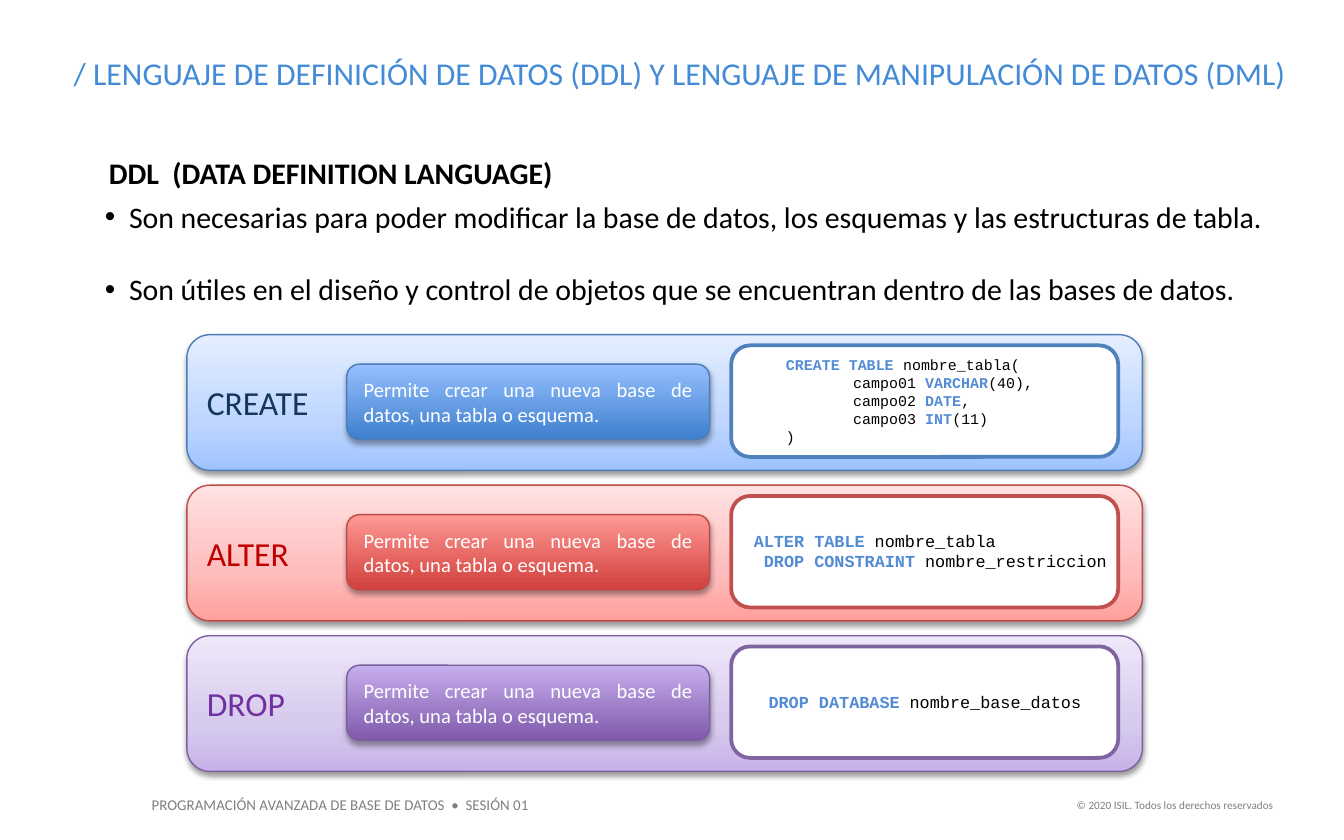
from dataclasses import dataclass

from pptx import Presentation
from pptx.dml.color import RGBColor
from pptx.enum.shapes import MSO_SHAPE as Shape
from pptx.enum.text import MSO_ANCHOR as Anchor, PP_ALIGN as Align
from pptx.oxml import parse_xml
from pptx.oxml.ns import nsdecls
from pptx.util import Inches, Pt

BODY_FONT = "Calibri"
CODE_FONT = "Courier New"
BLACK, WHITE, GRAY = "000000", "FFFFFF", "7F7F7F"
KEYWORD_COLOR = "538CD5"
ROW_TOP, ROW_PITCH = 2.49, 1.12
DESCRIPTION = "Permite crear una nueva base de datos, una tabla o esquema."

Box = tuple[float, float, float, float]
Stops = tuple[tuple[int, str], ...]


@dataclass
class Label:
    text: str
    box: Box
    size: float
    color: str
    bold: bool = False
    align: Align = Align.LEFT
    margins: tuple[float, float] = (0.1, 0.05)


@dataclass
class CodeLine:
    text: str
    indent: float = 0


@dataclass
class Command:
    name: str
    name_color: str
    line_color: str
    frame_color: str
    band_stops: Stops
    card_stops: Stops
    code_box: Box
    code_size: float
    code: tuple[CodeLine, ...]


LABELS = (
    Label("PROGRAMACIÓN AVANZADA DE BASE DE DATOS  •  SESIÓN 01", (1.03, 5.87, 3.03, 0.24), 8, GRAY),
    Label("© 2020 ISIL. Todos los derechos reservados", (7.88, 5.89, 1.69, 0.2), 6, GRAY, align=Align.RIGHT),
    Label("DDL  (DATA DEFINITION LANGUAGE)", (0.81, 1.15, 4.04, 0.27), 16, BLACK, bold=True, margins=(0, 0)),
    Label("/ LENGUAJE DE DEFINICIÓN DE DATOS (DDL) Y LENGUAJE DE MANIPULACIÓN DE DATOS (DML)",
          (0.45, 0.35, 9.25, 0.39), 17, "438AD7"),
)

BULLETS = (
    "Son necesarias para poder modificar la base de datos, los esquemas y las estructuras de tabla.",
    "Son útiles en el diseño y control de objetos que se encuentran dentro de las bases de datos.",
)

COMMANDS = (
    Command("CREATE", "17365D", "4A7DBA", "4F81BD",
            ((0, "9FC3FF"), (35, "BDD5FF"), (100, "E4EEFF")), ((0, "3E7FCD"), (100, "96C0FF")),
            (5.75, 2.6, 2.26, 0.77), 8,
            (CodeLine("`CREATE TABLE `nombre_tabla("),
             CodeLine("campo01 `VARCHAR`(40),", 0.5),
             CodeLine("campo02 `DATE`,", 0.5),
             CodeLine("campo03 `INT`(11)", 0.5),
             CodeLine(")"))),
    Command("ALTER", "C00000", "BD4B48", "C0504D",
            ((0, "FFA09D"), (35, "FFBCBC"), (100, "FFE2E2")), ((0, "D13F3B"), (100, "FF9995")),
            (5.51, 3.9, 2.88, 0.4), 9,
            (CodeLine("`ALTER TABLE `nombre_tabla"),
             CodeLine(" `DROP CONSTRAINT `nombre_restriccion"))),
    Command("DROP", "7030A0", "7C5F9F", "8064A2",
            ((0, "C8B2E9"), (35, "D6CAED"), (100, "EFE8FA")), ((0, "7F5AAB"), (100, "C7AEED")),
            (5.62, 5.1, 2.88, 0.25), 9,
            (CodeLine("`DROP DATABASE `nombre_base_datos"),)),
)


def rgb(color: str) -> RGBColor:
    return RGBColor.from_string(color)


def set_font(font, name: str, size: float, color: str, bold: bool = False) -> None:
    font.name, font.size, font.bold = name, Pt(size), bold
    font.color.rgb = rgb(color)


def set_frame(frame, margins: tuple[float, float] = (0.1, 0.05)) -> None:
    frame.word_wrap = True
    frame.margin_left = frame.margin_right = Inches(margins[0])
    frame.margin_top = frame.margin_bottom = Inches(margins[1])


def add_text_frame(slide, box: Box, margins: tuple[float, float] = (0.1, 0.05)):
    frame = slide.shapes.add_textbox(*map(Inches, box)).text_frame
    set_frame(frame, margins)
    return frame


def add_label(slide, label: Label) -> None:
    paragraph = add_text_frame(slide, label.box, label.margins).paragraphs[0]
    paragraph.text = label.text
    paragraph.alignment = label.align
    set_font(paragraph.font, BODY_FONT, label.size, label.color, label.bold)


def add_bullets(slide) -> None:
    frame = add_text_frame(slide, (0.76, 1.48, 8.71, 0.81), (0, 0))
    for index, text in enumerate(BULLETS):
        paragraph = frame.paragraphs[0] if index == 0 else frame.add_paragraph()
        paragraph.text = text
        properties = paragraph._p.get_or_add_pPr()
        properties.set("marL", str(Inches(0.2)))
        properties.set("indent", str(Inches(-0.18)))
        properties.append(parse_xml(f'<a:buFont {nsdecls("a")} typeface="Arial"/>'))
        properties.append(parse_xml(f'<a:buChar {nsdecls("a")} char="•"/>'))
        if index:
            paragraph.space_before = Pt(19.5)
        set_font(paragraph.font, BODY_FONT, 16, BLACK)


def add_rounded(slide, box: Box, line_color: str, line_width: float):
    shape = slide.shapes.add_shape(Shape.ROUNDED_RECTANGLE, *map(Inches, box))
    shape.shadow.inherit = False
    shape.adjustments[0] = 0.17
    shape.line.color.rgb = rgb(line_color)
    shape.line.width = Pt(line_width)
    return shape


def set_gradient(shape, stops: Stops) -> None:
    shape.fill.gradient()
    gradient = shape._element.spPr.find("{*}gradFill")
    stop_xml = "".join(f'<a:gs pos="{position * 1000}"><a:srgbClr val="{color}"/></a:gs>'
                       for position, color in stops)
    gradient.getparent().replace(gradient, parse_xml(
        f'<a:gradFill {nsdecls("a")} rotWithShape="1"><a:gsLst>{stop_xml}</a:gsLst>'
        '<a:lin ang="16200000" scaled="0"/></a:gradFill>'))


def set_shadow(shape, opacity: int, distance: float) -> None:
    effects = shape._element.spPr.find("{*}effectLst")
    effects.append(parse_xml(
        f'<a:outerShdw {nsdecls("a")} blurRad="{Pt(3.1)}" dist="{Pt(distance)}" dir="5400000" '
        f'rotWithShape="0"><a:srgbClr val="{BLACK}"><a:alpha val="{opacity * 1000}"/>'
        '</a:srgbClr></a:outerShdw>'))


def set_caption(shape, text: str, size: float, color: str, align: Align) -> None:
    set_frame(shape.text_frame)
    shape.text_frame.vertical_anchor = Anchor.MIDDLE
    paragraph = shape.text_frame.paragraphs[0]
    paragraph.text = text
    paragraph.alignment = align
    set_font(paragraph.font, BODY_FONT, size, color)


def add_code(slide, command: Command) -> None:
    frame = add_text_frame(slide, command.code_box)
    for index, line in enumerate(command.code):
        paragraph = frame.paragraphs[0] if index == 0 else frame.add_paragraph()
        if line.indent:
            paragraph._p.get_or_add_pPr().set("marL", str(Inches(line.indent)))
        for position, text in enumerate(line.text.split("`")):
            if text:
                run = paragraph.add_run()
                run.text = text
                keyword = position % 2 == 1
                set_font(run.font, CODE_FONT, command.code_size, KEYWORD_COLOR if keyword else BLACK, keyword)


def add_command(slide, command: Command, top: float) -> None:
    band = add_rounded(slide, (1.39, top, 7.11, 1.01), command.line_color, 0.75)
    set_gradient(band, command.band_stops)
    set_shadow(band, 38, 1.6)
    set_caption(band, command.name, 18, command.name_color, Align.LEFT)
    card = add_rounded(slide, (2.58, top + 0.22, 2.7, 0.56), command.line_color, 0.75)
    set_gradient(card, command.card_stops)
    set_shadow(card, 35, 1.8)
    set_caption(card, DESCRIPTION, 11, WHITE, Align.JUSTIFY)
    code_frame = add_rounded(slide, (5.44, top + 0.08, 2.88, 0.83), command.frame_color, 2)
    code_frame.fill.solid()
    code_frame.fill.fore_color.rgb = rgb(WHITE)
    add_code(slide, command)


def main() -> None:
    presentation = Presentation()
    presentation.slide_width, presentation.slide_height = Inches(10), Inches(6.25)
    slide = presentation.slides.add_slide(presentation.slide_layouts[6])
    for label in LABELS:
        add_label(slide, label)
    add_bullets(slide)
    for index, command in enumerate(COMMANDS):
        add_command(slide, command, ROW_TOP + index * ROW_PITCH)
    presentation.save("out.pptx")


if __name__ == "__main__":
    main()
